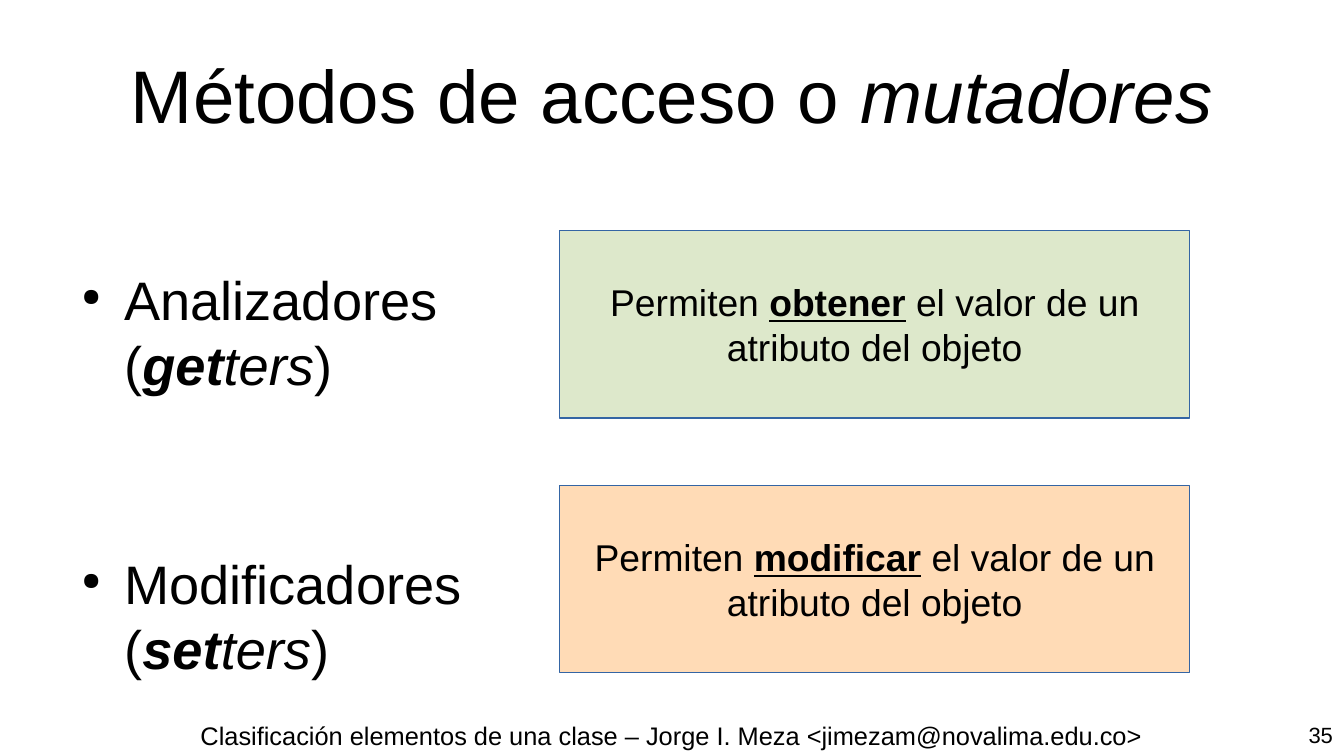
from lxml.etree import SubElement
from pptx import Presentation
from pptx.dml.color import RGBColor
from pptx.enum.shapes import MSO_SHAPE as Shape
from pptx.enum.text import MSO_ANCHOR as Anchor, PP_ALIGN as Align
from pptx.oxml.ns import qn
from pptx.util import Cm, Pt

FONT = "Arial"
BLACK = "000000"


def rgb(value):
    return RGBColor.from_string(value)


def write(paragraph, pieces, size, align):
    paragraph.alignment = align
    paragraph.text = pieces[0][0]
    for text, _ in pieces[1:]:
        paragraph.add_run().text = text
    styles = [style for text, style in pieces for _ in text.split("\v")]
    for run, style in zip(paragraph.runs, styles):
        font = run.font
        font.name, font.size = FONT, Pt(size)
        font.color.rgb = rgb(BLACK)
        font.bold, font.italic, font.underline = ("b" in style, "i" in style, "u" in style)


def add_text(slide, left, top, width, height, anchor=Anchor.TOP, margins=(0, 0)):
    frame = slide.shapes.add_textbox(Cm(left), Cm(top), Cm(width), Cm(height)).text_frame
    frame.word_wrap = True
    frame.vertical_anchor = anchor
    frame.margin_left = frame.margin_right = Cm(margins[0])
    frame.margin_top = frame.margin_bottom = Cm(margins[1])
    return frame


def add_bullet(paragraph):
    properties = paragraph._p.get_or_add_pPr()
    properties.set("marL", str(Cm(1.19)))
    properties.set("indent", str(Cm(-0.89)))
    colour = SubElement(properties, qn("a:buClr"))
    SubElement(colour, qn("a:srgbClr"), val=BLACK)
    SubElement(properties, qn("a:buSzPct"), val="45000")
    SubElement(properties, qn("a:buChar"), char="●")


def add_method_list(slide, methods):
    frame = add_text(slide, 1.4, 5.55, 25.2, 9.3)
    for index, (kind, prefix) in enumerate(methods):
        paragraph = frame.add_paragraph() if index else frame.paragraphs[0]
        pieces = [(f"{kind}\v(", ""), (prefix, "bi"), ("ters", "i"), (")", "")]
        write(paragraph, pieces, 32, Align.LEFT)
        paragraph.line_spacing = Pt(38.4)
        paragraph.space_before = Pt(90.8 * index)
        add_bullet(paragraph)


def add_description(slide, top, fill, verb):
    box = slide.shapes.add_shape(Shape.RECTANGLE, Cm(11.66), Cm(top), Cm(13.13), Cm(3.91))
    box.shadow.inherit = False
    box.fill.solid()
    box.fill.fore_color.rgb = rgb(fill)
    box.line.color.rgb = rgb("3465A4")
    box.line.width = Pt(0)
    frame = box.text_frame
    frame.word_wrap = True
    frame.vertical_anchor = Anchor.MIDDLE
    paragraph = frame.paragraphs[0]
    pieces = [("Permiten ", ""), (verb, "bu"), (" el valor de un atributo del objeto", "")]
    write(paragraph, pieces, 22, Align.CENTER)
    paragraph.line_spacing = Pt(26.5)


def main():
    deck = Presentation()
    deck.slide_width, deck.slide_height = Cm(28), Cm(15.75)
    slide = deck.slides.add_slide(deck.slide_layouts[6])

    footer = add_text(slide, 2.74, 14.88, 22.5, 0.97, margins=(0.25, 0.13))
    credit = "Clasificación elementos de una clase – Jorge I. Meza <jimezam@novalima.edu.co>"
    write(footer.paragraphs[0], [(credit, "")], 15, Align.CENTER)
    page_number = add_text(slide, 25.43, 14.91, 2.59, 0.94, margins=(0.25, 0.13))
    write(page_number.paragraphs[0], [("35", "")], 13, Align.RIGHT)

    title = add_text(slide, 1.4, 0.64, 25.2, 2.64, Anchor.MIDDLE)
    heading = [("Métodos de acceso o ", ""), ("mutadores", "i")]
    write(title.paragraphs[0], heading, 44, Align.CENTER)

    add_method_list(slide, [("Analizadores", "get"), ("Modificadores", "set")])
    add_description(slide, 4.8, "DDE8CB", "obtener")
    add_description(slide, 10.11, "FFDBB6", "modificar")
    deck.save("out.pptx")


if __name__ == "__main__":
    main()
